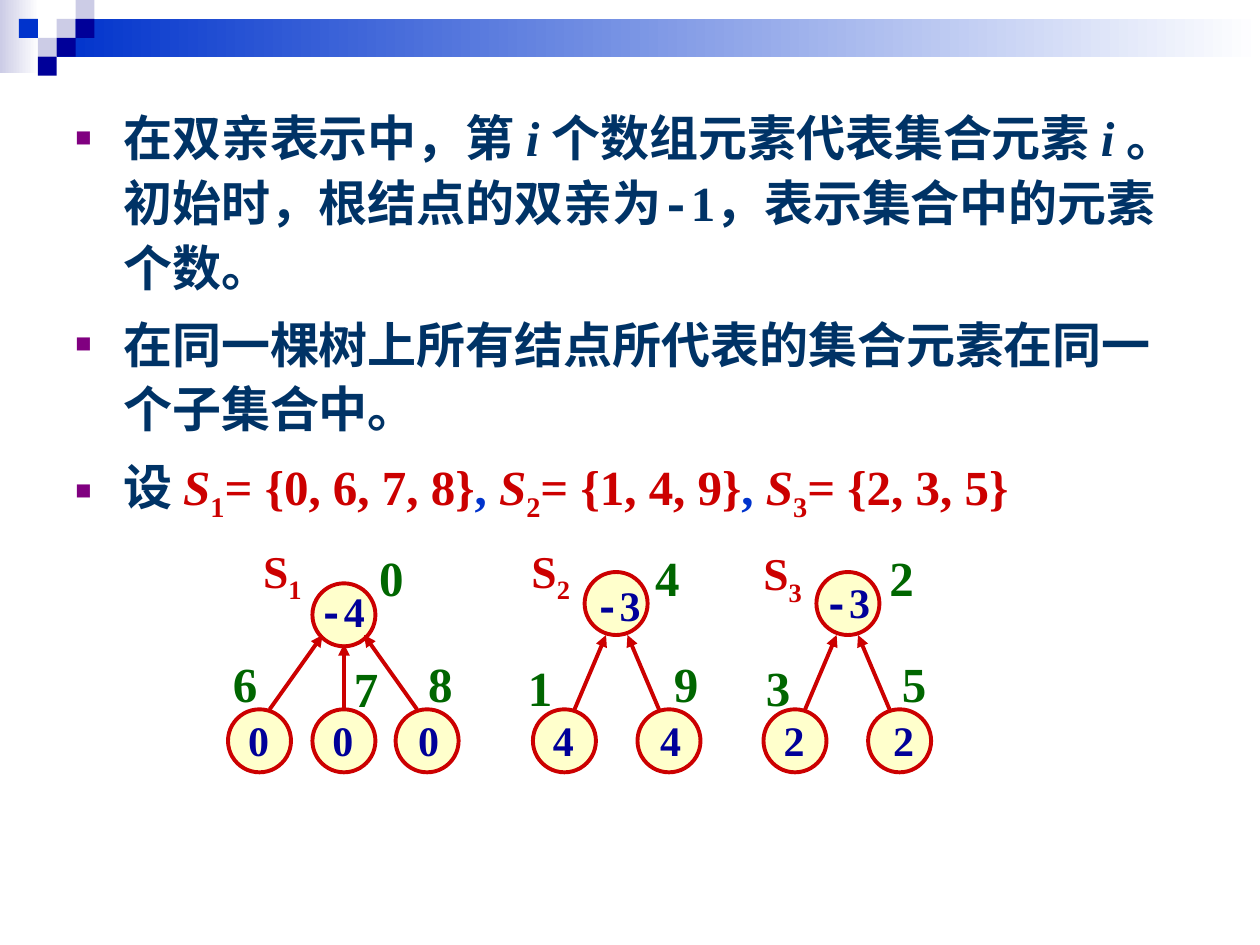
from lxml.etree import SubElement
from pptx import Presentation
from pptx.dml.color import RGBColor
from pptx.enum.shapes import MSO_CONNECTOR, MSO_SHAPE
from pptx.oxml.ns import qn
from pptx.util import Inches, Pt

COLORS = {
    "navy": "000099", "blue": "0033CC", "lavender": "CCCCE6", "white": "FFFFFF",
    "text": "003366", "red": "CC0000", "green": "006600", "cream": "FFFFCC",
    "bullet": "800080",
}
SERIF, MONO = "Times New Roman", "Courier New"
NODE = 0.5  # diameter of a tree node
CHILD_TOP = 1.37  # top of the lower nodes within a tree

# Runs are (text, style, color); style marks: i italic, m monospaced, s subscript
BULLETS = [
    [("在双亲表示中，第 ", "", "text"), ("i ", "i", "text"),
     ("个数组元素代表集合元素 ", "", "text"), ("i ", "i", "text"),
     ("。初始时，根结点的双亲为", "", "text"), ("-", "m", "text"),
     ("1，表示集合中的元素个数。", "", "text")],
    [("在同一棵树上所有结点所代表的集合元素在同一个子集合中。", "", "text")],
    [("设 ", "", "text")],
]
SETS = [("1", "{0, 6, 7, 8}"), ("2", "{1, 4, 9}"), ("3", "{2, 3, 5}")]
for position, (number, members) in enumerate(SETS):
    if position:
        BULLETS[-1].append((", ", "", "blue"))
    BULLETS[-1] += [("S", "i", "red"), (number, "s", "red"), ("= " + members, "", "red")]

# Positions are offsets from the left and top of each tree.
# root: node x, y, value, value x, y, index, index x, y
# children: node x, value, value x, index, index x, y, arrow end from root centre, y
TREES = [
    {"number": "1", "left": 1.81, "name": (0.18, 0),
     "root": (0.67, 0.37, "4", 0.62, 0.34, "0", 1.10, 0.04),
     "children": [(0, "0", 0.06, "6", -0.06, 0.88, -0.17, 0.78),
                  (0.67, "0", 0.73, "7", 0.90, 0.92, 0, 0.85),
                  (1.33, "0", 1.41, "8", 1.49, 0.88, 0.16, 0.78)]},
    {"number": "2", "left": 4.23, "name": (-0.11, 0),
     "root": (0.41, 0.28, "3", 0.39, 0.29, "4", 0.87, 0.04),
     "children": [(0, "4", 0.06, "1", -0.14, 0.91, -0.08, 0.78),
                  (0.83, "4", 0.91, "9", 1.02, 0.88, 0.09, 0.78)]},
    {"number": "3", "left": 6.06, "name": (-0.10, 0.02),
     "root": (0.42, 0.28, "3", 0.38, 0.27, "2", 0.90, 0.04),
     "children": [(0, "2", 0.06, "3", -0.08, 0.91, -0.09, 0.78),
                  (0.83, "2", 0.93, "5", 1.00, 0.88, 0.08, 0.78)]},
]


def rgb(name):
    return RGBColor.from_string(COLORS[name])


def add_runs(paragraph, runs, size):
    for text, style, color in runs:
        run = paragraph.add_run()
        run.text = text
        font = run.font
        font.size, font.bold, font.italic = Pt(size), True, "i" in style
        font.name = MONO if "m" in style else SERIF
        font.color.rgb = rgb(color)
        if "s" in style:
            font._element.set("baseline", "-25000")


def add_label(slide, left, top, width, height, runs, size):
    box = slide.shapes.add_textbox(*map(Inches, (left, top, width, height)))
    box.text_frame.word_wrap = True
    add_runs(box.text_frame.paragraphs[0], runs, size)


def add_block(slide, kind, left, top, width, height, color):
    shape = slide.shapes.add_shape(kind, *map(Inches, (left, top, width, height)))
    shape.shadow.inherit = False
    shape.fill.solid()
    shape.fill.fore_color.rgb = rgb(color)
    shape.line.fill.background()
    return shape


def add_fading_bar(slide, left, top, width, height, color):
    bar = add_block(slide, MSO_SHAPE.RECTANGLE, left, top, width, height, color)
    bar.fill.gradient()
    bar.fill.gradient_angle = 0
    for stop, name, position in zip(bar.fill.gradient_stops, (color, "white"), (0, 1)):
        stop.color.rgb = rgb(name)
        stop.position = position


def add_header(slide, left, top, width):
    add_fading_bar(slide, left, top, 0.31, 0.58, "lavender")
    add_fading_bar(slide, left + 0.45, top + 0.15, width - 0.45, 0.3, "blue")
    cell = 0.15
    squares = [(3, 1, "lavender"), (4, 0, "lavender"), (4, 1, "navy"), (2, 2, "lavender"),
               (1, 1, "blue"), (3, 2, "navy"), (2, 3, "navy")]
    for column, row, color in squares:
        add_block(slide, MSO_SHAPE.RECTANGLE, left + column * cell, top + row * cell,
                  cell, cell, color)


def add_bullet(paragraph):
    properties = paragraph._p.get_or_add_pPr()
    properties.set("marL", str(Inches(0.38)))
    properties.set("indent", str(Inches(-0.38)))
    color = SubElement(properties, qn("a:buClr"))
    SubElement(color, qn("a:srgbClr"), val=COLORS["bullet"])
    SubElement(properties, qn("a:buSzPct"), val="55000")
    SubElement(properties, qn("a:buFont"), typeface=SERIF)
    SubElement(properties, qn("a:buChar"), char="■")


def add_body(slide, left, top, width, height):
    box = slide.shapes.add_textbox(*map(Inches, (left, top, width, height)))
    frame = box.text_frame
    frame.word_wrap = True
    for position, runs in enumerate(BULLETS):
        paragraph = frame.add_paragraph() if position else frame.paragraphs[0]
        add_bullet(paragraph)
        paragraph.line_spacing = 1.1
        if position:
            paragraph.space_before = Pt(7)
        add_runs(paragraph, runs, 28)


def add_node(slide, left, top):
    node = add_block(slide, MSO_SHAPE.OVAL, left, top, NODE, NODE, "cream")
    node.line.color.rgb = rgb("red")
    node.line.width = Pt(2.25)


def add_arrow(slide, start_x, start_y, end_x, end_y):
    arrow = slide.shapes.add_connector(
        MSO_CONNECTOR.STRAIGHT, *map(Inches, (start_x, start_y, end_x, end_y)))
    arrow.line.color.rgb = rgb("red")
    arrow.line.width = Pt(2.25)
    SubElement(arrow.line._get_or_add_ln(), qn("a:tailEnd"), type="triangle")
    SubElement(arrow._element.spPr, qn("a:effectLst"))


def add_tree(slide, left, top, tree):
    """Draw one set as a tree whose arrows point from each child to the root."""
    root_x, root_y, value, value_x, value_y, index, index_x, index_y = tree["root"]
    add_node(slide, left + root_x, top + root_y)
    labels = [(index, index_x, index_y, 28, "green")]
    for (node_x, child_value, child_value_x, child_index, child_index_x, child_index_y,
         end_shift, end_y) in tree["children"]:
        add_node(slide, left + node_x, top + CHILD_TOP)
        side = (end_shift < 0) - (end_shift > 0)
        add_arrow(slide, left + node_x + NODE / 2 + 0.08 * side, top + CHILD_TOP,
                  left + root_x + NODE / 2 + end_shift, top + end_y)
        labels += [(child_index, child_index_x, child_index_y, 28, "green"),
                   (child_value, child_value_x, CHILD_TOP - 0.01, 24, "navy")]
    for text, x, y, size, color in labels:
        add_label(slide, left + x, top + y, 0.42, 0.57 if size == 28 else 0.5,
                  [(text, "", color)], size)
    add_label(slide, left + value_x, top + value_y, 0.61, 0.5,
              [("-", "m", "navy"), (value, "", "navy")], 24)
    name_x, name_y = tree["name"]
    add_label(slide, left + name_x, top + name_y, 0.6, 0.6,
              [("S", "", "red"), (tree["number"], "s", "red")], 26)


def main():
    presentation = Presentation()
    presentation.slide_width, presentation.slide_height = Inches(10), Inches(7.5)
    slide = presentation.slides.add_slide(presentation.slide_layouts[6])
    add_header(slide, 0, 0, 10)
    add_body(slide, 0.5, 0.76, 9, 3.51)
    for tree in TREES:
        add_tree(slide, tree["left"], 4.26, tree)
    presentation.save("out.pptx")


if __name__ == "__main__":
    main()
